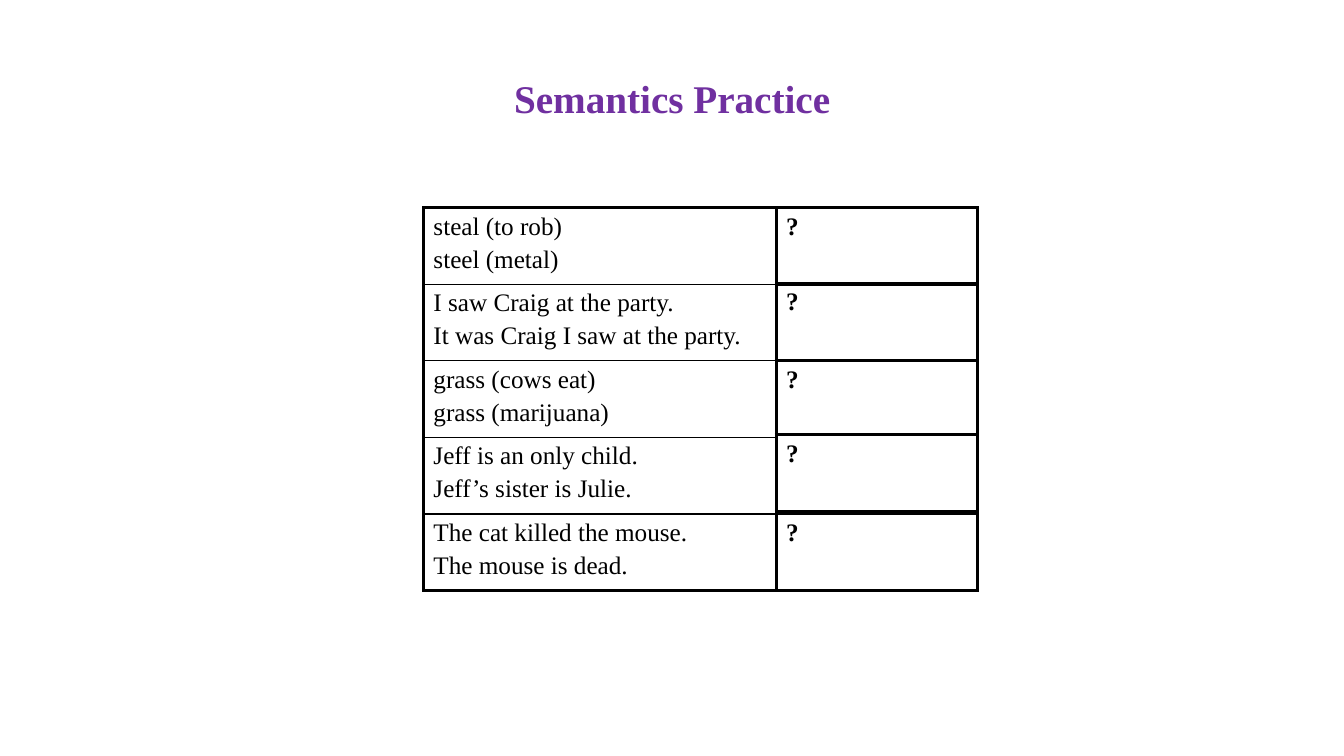
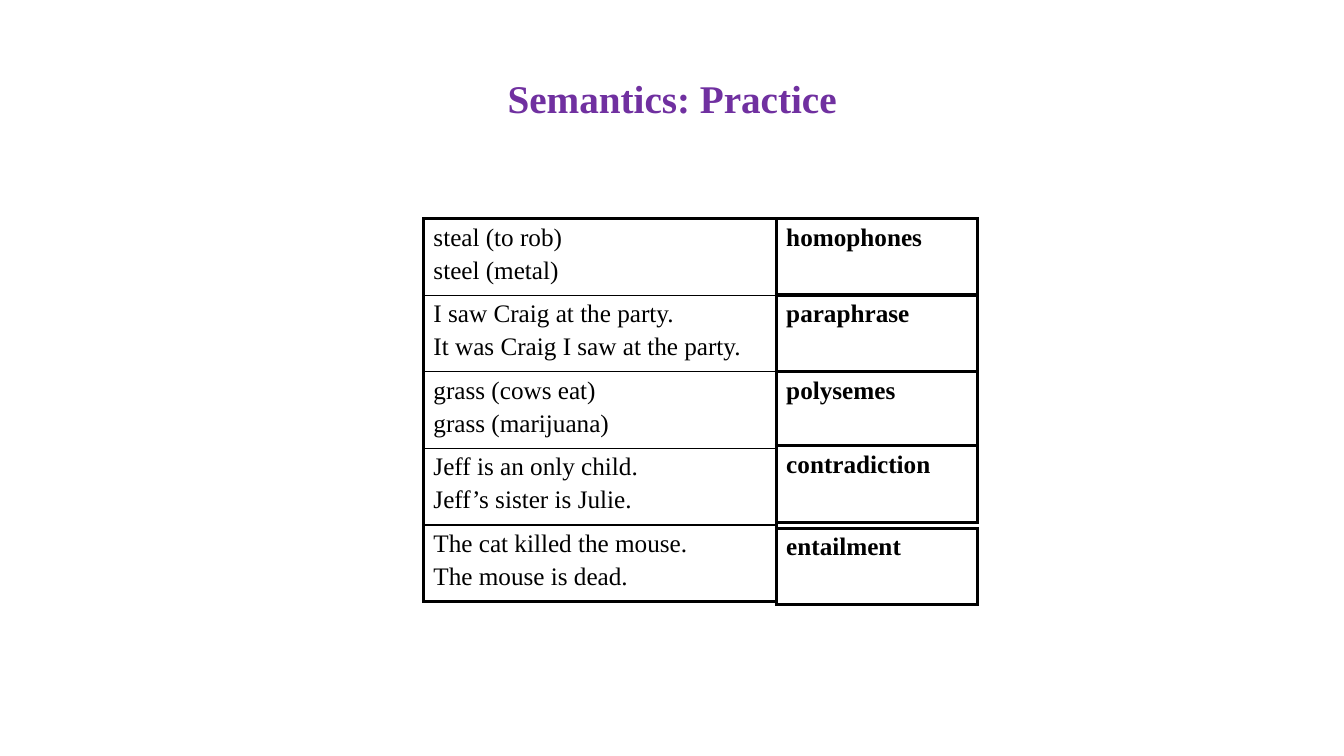
from lxml import etree
from pptx import Presentation
from pptx import util as u
from pptx.dml.color import RGBColor
from pptx.enum import text
from pptx.oxml import ns

INK, PURPLE = "000000", "7030A0"
THICK, THIN = 2.25, 1
ROW = 1.93
BODY = {"name": "Times New Roman", "size": u.Pt(18), "bold": False}
BOLD = {**BODY, "bold": True}
HEAD = {**BOLD, "size": u.Pt(28)}

PAIRS = [
    ["steal (to rob)", "steel (metal)"],
    ["I saw Craig at the party.", "It was Craig I saw at the party."],
    ["grass (cows eat)", "grass (marijuana)"],
    ["Jeff is an only child.", "Jeff’s sister is Julie."],
    ["The cat killed the mouse.", "The mouse is dead."],
]
TERMS = ["homophones", "paraphrase", "polysemes", "contradiction", "entailment"]
# Title, table top, answers, offset of the last answer box
SLIDES = [
    ("Semantics Practice", 5.23, ["?"] * len(PAIRS), 7.72),
    ("Semantics: Practice", 5.51, TERMS, 7.8),
]
# Offset from the table top and height of the other answer boxes
BOXES = [(0, ROW), (1.91, ROW), (3.86, 1.85), (5.72, ROW)]


def color(code):
    return RGBColor.from_string(code)


def sub(node, tag, **attrs):
    return etree.SubElement(node, ns.qn(tag), attrs)


def write(frame, lines, style, ink=INK, align=text.PP_ALIGN.LEFT):
    """Fill a text frame, one paragraph a line, with 20% space before each."""
    for i, line in enumerate(lines):
        para = frame.add_paragraph() if i else frame.paragraphs[0]
        para.alignment = align
        gap = sub(para._p.get_or_add_pPr(), "a:spcBef")
        sub(gap, "a:spcPct", val="20000")
        run = para.add_run()
        run.text = line
        for key, value in style.items():
            setattr(run.font, key, value)
        run.font.color.rgb = color(ink)


def edge(cell, top, bottom):
    """Draw the four borders; the sides are always thick."""
    props = cell._tc.get_or_add_tcPr()
    widths = {"L": THICK, "R": THICK, "T": top, "B": bottom}
    for side, width in widths.items():
        line = sub(props, f"a:ln{side}", w=str(u.Pt(width)))
        sub(sub(line, "a:solidFill"), "a:srgbClr", val=INK)


def title(slide, words):
    box = slide.shapes.add_textbox(u.Cm(4.24), u.Cm(1.75), u.Cm(25.4), u.Cm(1.9))
    box.text_frame.word_wrap = True
    write(box.text_frame, [words], HEAD, PURPLE, text.PP_ALIGN.CENTER)


def grid(slide, left, top, width, height, rows, style):
    """Add a one-column table with a thick frame and thin inner lines."""
    count = len(rows)
    area = [u.Cm(n) for n in (left, top, width, height * count)]
    table = slide.shapes.add_table(count, 1, *area).table
    table.first_row = table.horz_banding = False
    for i, lines in enumerate(rows):
        table.rows[i].height = u.Cm(height)
        cell = table.cell(i, 0)
        edge(cell, THIN if i else THICK, THIN if i < count - 1 else THICK)
        cell.fill.background()
        write(cell.text_frame, lines, style)


def main():
    deck = Presentation()
    deck.slide_width, deck.slide_height = u.Cm(33.87), u.Cm(19.05)
    for words, top, answers, last in SLIDES:
        slide = deck.slides.add_slide(deck.slide_layouts[6])
        title(slide, words)
        grid(slide, 10.67, top, 8.89, ROW, PAIRS, BODY)
        for answer, (down, height) in zip(answers, BOXES + [(last, ROW)]):
            grid(slide, 19.56, top + down, 5.08, height, [[answer]], BOLD)
    deck.save("out.pptx")


if __name__ == "__main__":
    main()
